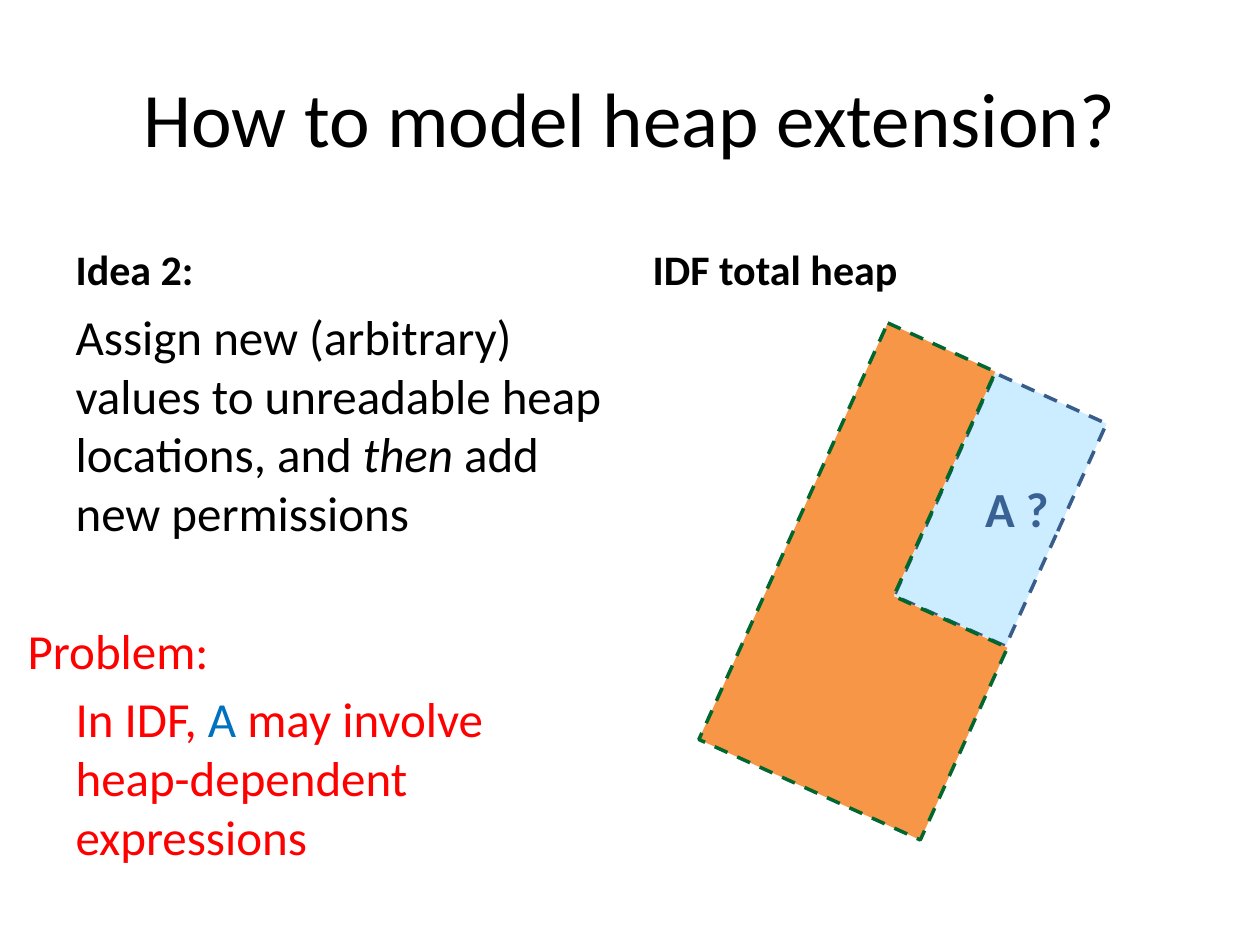
from lxml.etree import SubElement
from pptx import Presentation
from pptx.dml.color import RGBColor
from pptx.enum.dml import MSO_LINE
from pptx.enum.shapes import MSO_SHAPE
from pptx.enum.text import MSO_ANCHOR, MSO_AUTO_SIZE, PP_ALIGN
from pptx.oxml.ns import qn
from pptx.util import Inches, Pt

BLACK, RED, BLUE = "000000", "FF0000", "0070C0"
TITLE = "How to model heap extension?"
HEADINGS = [
    (1, "Idea 2:", (0.5, 1.68, 4.42, 0.7)),
    (3, "IDF total heap", (5.08, 1.68, 4.42, 0.7)),
]
BODY = [
    (0.38, 5.6, [("Assign new (arbitrary) values to unreadable heap locations, and ", BLACK, False),
                 ("then", BLACK, True), (" add new permissions", BLACK, False)]),
    (0, 45, [("Problem:", RED, False)]),
    (0.38, 5.6, [("In IDF, ", RED, False), ("A", BLUE, False),
                 (" may involve heap-dependent expressions", RED, False)]),
]
NEW_PART = (MSO_SHAPE.RECTANGLE, (6.97, 3.56, 1.94, 0.97), 294.4, "CCECFF", "385D8A", ())
OLD_PART = (MSO_SHAPE.CORNER, (6.21, 2.8, 1.93, 3.63), 24.4, "F79646", "00682F", (0.868, 0.486))


def color(value):
    return RGBColor.from_string(value)


def place(shape, box):
    shape.left, shape.top, shape.width, shape.height = map(Inches, box)


def add_text(paragraph, text, size=28, fill=BLACK, bold=False, italic=False):
    run = paragraph.add_run()
    run.text = text
    font = run.font
    font.name, font.size, font.bold, font.italic = "Calibri", Pt(size), bold, italic
    font.color.rgb = color(fill)


def prepare_frame(shape, box, anchor):
    place(shape, box)
    frame = shape.text_frame
    frame.word_wrap = True
    frame.auto_size = MSO_AUTO_SIZE.NONE
    frame.vertical_anchor = anchor
    return frame


def add_heap_part(slide, kind, box, rotation, fill, line, adjustments):
    shape = slide.shapes.add_shape(kind, *map(Inches, box))
    for position, value in enumerate(adjustments):
        shape.adjustments[position] = value
    shape.rotation = rotation
    shape.shadow.inherit = False
    shape.fill.solid()
    shape.fill.fore_color.rgb = color(fill)
    shape.line.color.rgb = color(line)
    shape.line.width = Pt(2)
    shape.line.dash_style = MSO_LINE.DASH


presentation = Presentation()
presentation.slide_width, presentation.slide_height = Inches(10), Inches(7.5)
slide = presentation.slides.add_slide(presentation.slide_layouts[4])
placeholders = {shape.placeholder_format.idx: shape for shape in slide.placeholders}

frame = prepare_frame(placeholders[0], (0.5, 0.3, 9, 1.25), MSO_ANCHOR.MIDDLE)
frame.paragraphs[0].alignment = PP_ALIGN.CENTER
add_text(frame.paragraphs[0], TITLE, size=44)

for index, heading, box in HEADINGS:
    frame = prepare_frame(placeholders[index], box, MSO_ANCHOR.BOTTOM)
    add_text(frame.paragraphs[0], heading, size=24, bold=True)

frame = prepare_frame(placeholders[2], (0.12, 2.38, 4.8, 4.32), MSO_ANCHOR.TOP)
for number, (margin, space, runs) in enumerate(BODY):
    paragraph = frame.add_paragraph() if number else frame.paragraphs[0]
    paragraph.space_before = Pt(space)
    properties = paragraph._p.get_or_add_pPr()
    properties.set("marL", str(Inches(margin)))
    properties.set("indent", "0")
    SubElement(properties, qn("a:buNone"))
    for text, fill, italic in runs:
        add_text(paragraph, text, fill=fill, italic=italic)

unused = placeholders[4].element
unused.getparent().remove(unused)

add_heap_part(slide, *NEW_PART)
add_heap_part(slide, *OLD_PART)
label = slide.shapes.add_textbox(0, 0, 0, 0)
frame = prepare_frame(label, (7.72, 3.75, 0.9, 0.57), MSO_ANCHOR.TOP)
add_text(frame.paragraphs[0], "A ?", fill="386294", bold=True)

presentation.save("out.pptx")
